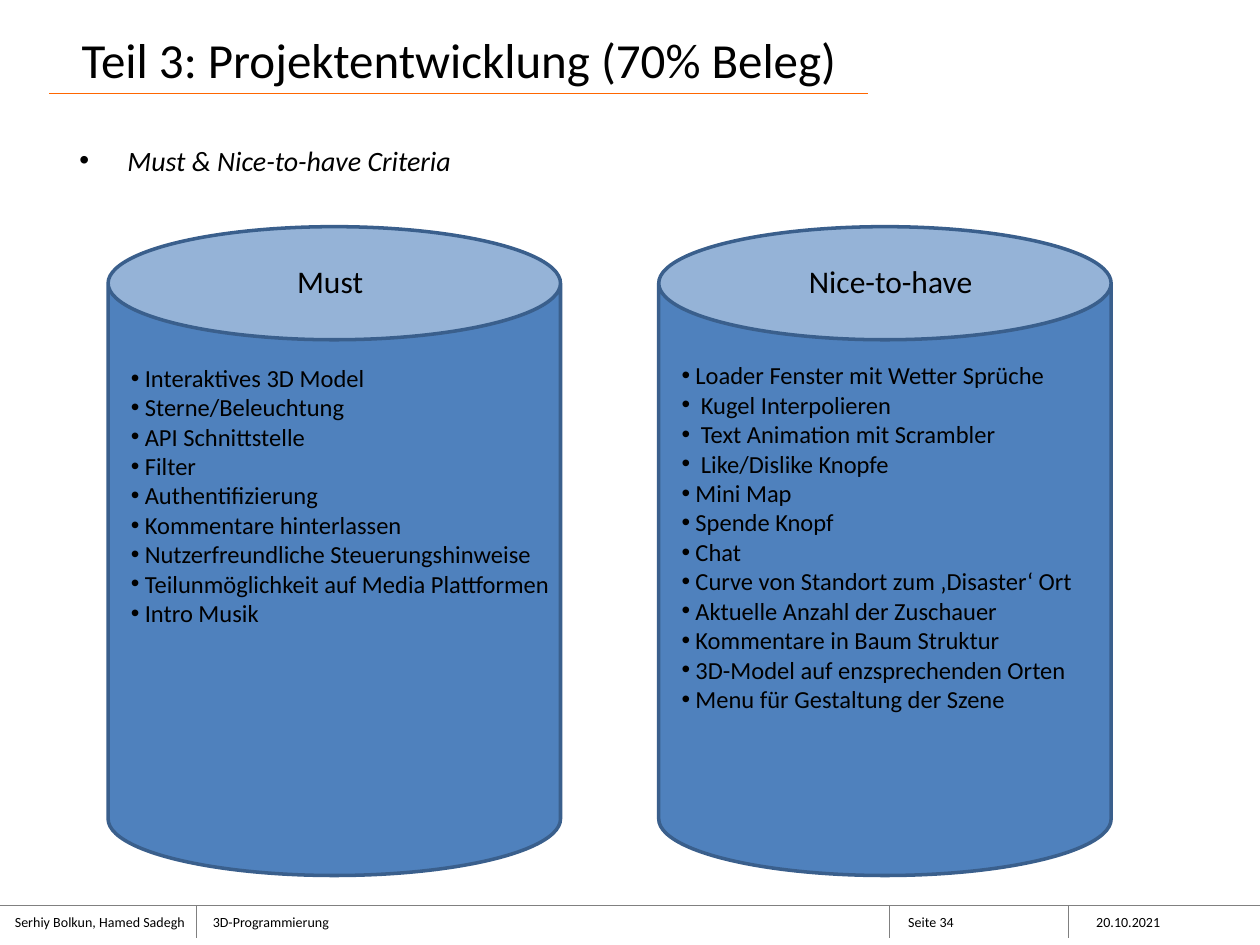
from lxml import etree
from pptx import Presentation
from pptx import util as u
from pptx.dml.color import RGBColor
from pptx.enum import shapes, text
from pptx.oxml import ns

MUST = [
    "Interaktives 3D Model", "Sterne/Beleuchtung", "API Schnittstelle",
    "Filter", "Authentifizierung", "Kommentare hinterlassen",
    "Nutzerfreundliche Steuerungshinweise",
    "Teilunmöglichkeit auf Media Plattformen", "Intro Musik",
]
NICE = [
    "Loader Fenster mit Wetter Sprüche", "Kugel Interpolieren",
    "Text Animation mit Scrambler", "Like/Dislike Knopfe", "Mini Map",
    "Spende Knopf", "Chat", "Curve von Standort zum ‚Disaster‘ Ort",
    "Aktuelle Anzahl der Zuschauer", "Kommentare in Baum Struktur",
    "3D-Model auf enzsprechenden Orten", "Menu für Gestaltung der Szene",
]
DEEP = NICE[1:4]  # entries set slightly further in
FOOT = [
    (0.3, 3.86, "Serhiy Bolkun, Hamed Sadegh"),
    (4.29, 4.65, "3D-Programmierung"),
    (18.31, 2.79, "Seite 34"),
    (22.1, 2.9, "20.10.2021"),
]
CENTER = text.PP_ALIGN.CENTER


def color(code):
    return RGBColor.from_string(code)


def bullet(para, gap):
    """Hang the paragraph's text gap cm behind a bullet."""
    props = para._p.get_or_add_pPr()
    props.set("marL", str(u.Cm(gap)))
    props.set("indent", str(-u.Cm(gap)))
    font = etree.SubElement(props, ns.qn("a:buFont"))
    font.set("typeface", "Arial")
    etree.SubElement(props, ns.qn("a:buChar")).set("char", "•")


def add_text(slide, box, lines, size, align=None, gaps=None, frame=None, **fmt):
    """Add a text box; gaps holds one bullet indent per line."""
    body = slide.shapes.add_textbox(*map(u.Cm, box)).text_frame
    for name, value in {"word_wrap": True, **(frame or {})}.items():
        setattr(body, name, value)
    for i, line in enumerate(lines):
        para = body.add_paragraph() if i else body.paragraphs[0]
        para.text = line
        if gaps:
            bullet(para, gaps[i])
        if align:
            para.alignment = align
        look = {"name": "Calibri", "size": u.Pt(size), **fmt}
        for run in para.runs:
            for name, value in look.items():
                setattr(run.font, name, value)
            run.font.color.rgb = color("000000")


def add_line(slide, ends, code):
    line = slide.shapes.add_connector(
        shapes.MSO_CONNECTOR.STRAIGHT, *map(u.Cm, ends))
    line.line.color.rgb = color(code)
    line.line.width = u.Pt(0.75)
    etree.SubElement(line._element.spPr, ns.qn("a:effectLst"))


def add_can(slide, left):
    can = slide.shapes.add_shape(
        shapes.MSO_SHAPE.CAN, *map(u.Cm, (left, 4.57, 9.12, 13.08)))
    can.shadow.inherit = False
    can.fill.solid()
    can.fill.fore_color.rgb = color("4F81BD")
    can.line.color.rgb = color("3A5F8C")
    can.line.width = u.Pt(2)


def add_footer(slide):
    add_line(slide, (0, 18.26, 25.4, 18.26), "808080")
    for x in (3.96, 17.93, 21.54):
        add_line(slide, (x, 18.26, x, 18.9), "808080")
    for left, width, label in FOOT:
        add_text(slide, (left, 18.29, width, 0.61), [label], 8,
                 frame={"margin_left": 0})


def main():
    deck = Presentation()
    deck.slide_width, deck.slide_height = u.Cm(25.4), u.Cm(19.05)
    slide = deck.slides.add_slide(deck.slide_layouts[6])

    add_text(slide, (-2.18, -0.41, 22.86, 3.18),
             ["Teil 3: Projektentwicklung (70% Beleg)"], 28, CENTER,
             frame={"vertical_anchor": text.MSO_ANCHOR.MIDDLE})
    add_line(slide, (0.99, 1.88, 17.5, 1.88), "FF6600")
    add_text(slide, (1.35, 2.77, 22.86, 14.88),
             ["Must & Nice-to-have Criteria"], 16, gaps=[0.97], italic=True)
    add_footer(slide)

    for left in (2.18, 13.28):
        add_can(slide, left)
    for left, head in ((3.58, "Must"), (14.88, "Nice-to-have")):
        add_text(slide, (left, 5.16, 6.15, 1.02), [head], 18, CENTER)
    for box, items in (((2.39, 7.19, 9.12, 6.32), MUST),
                       ((13.49, 7.14, 9.53, 8.13), NICE)):
        gaps = [0.39 if item in DEEP else 0.28 for item in items]
        add_text(slide, box, items, 14, gaps=gaps)

    deck.save("out.pptx")


if __name__ == "__main__":
    main()
